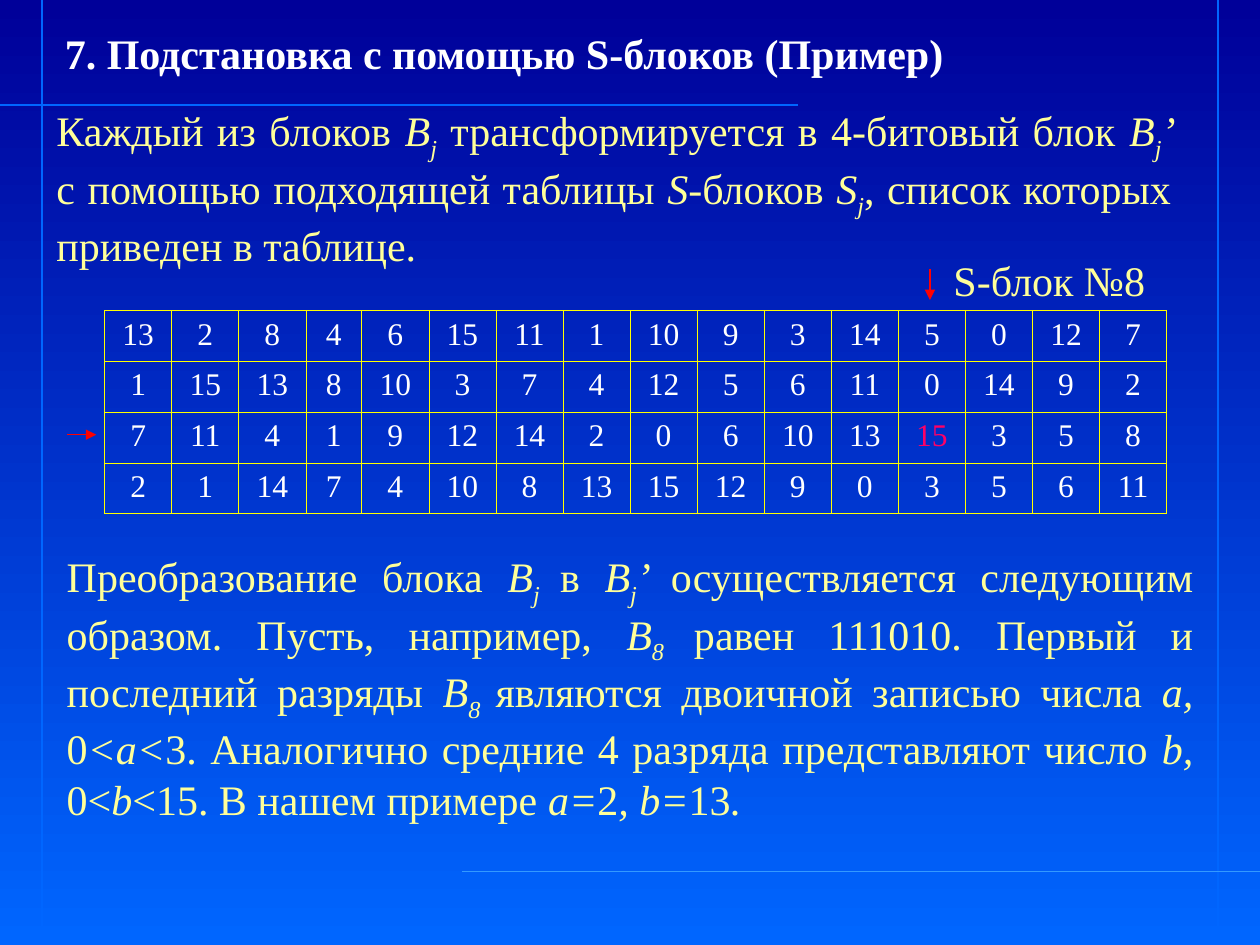
from lxml.etree import SubElement
from pptx import Presentation
from pptx.dml.color import RGBColor
from pptx.enum.shapes import MSO_CONNECTOR as Connector
from pptx.enum.text import MSO_ANCHOR as Anchor, MSO_AUTO_SIZE as AutoSize, PP_ALIGN as Align
from pptx.oxml.ns import qn
from pptx.util import Pt

NAVY = RGBColor(0x00, 0x00, 0x99)
BLUE = RGBColor(0x00, 0x66, 0xFF)
SKY = RGBColor(0x33, 0x99, 0xFF)
WHITE = RGBColor(0xFF, 0xFF, 0xFF)
CREAM = RGBColor(0xFF, 0xFF, 0x99)
YELLOW = RGBColor(0xFF, 0xFF, 0x00)
RED = RGBColor(0xFF, 0x00, 0x00)
PINK = RGBColor(0xFF, 0x00, 0x66)
FONT = "Times New Roman"

PLAIN, ITALIC, INDEX = "plain", "italic", "index"

INTRO = [
    ("Каждый из блоков ", PLAIN), ("B", ITALIC), ("j", INDEX),
    (" трансформируется в 4-битовый блок ", PLAIN), ("B", ITALIC), ("j", INDEX),
    ("’ ", ITALIC), ("с помощью подходящей таблицы ", PLAIN), ("S", ITALIC),
    ("-блоков ", PLAIN), ("S", ITALIC), ("j", INDEX),
    (", список которых приведен в таблице.", PLAIN),
]
EXPLANATION = [
    ("Преобразование блока ", PLAIN), ("B", ITALIC), ("j ", INDEX), ("в ", PLAIN),
    ("B", ITALIC), ("j", INDEX), ("’ ", ITALIC),
    ("осуществляется следующим образом. Пусть, например, ", PLAIN),
    ("В", ITALIC), ("8 ", INDEX),
    ("равен 111010. Первый и последний разряды ", PLAIN), ("В", ITALIC), ("8 ", INDEX),
    ("являются двоичной записью числа ", PLAIN), ("а, ", ITALIC), ("0", PLAIN),
    ("<a<", ITALIC), ("3. Аналогично средние 4 разряда представляют число ", PLAIN),
    ("b,", ITALIC), (" 0<", PLAIN), ("b", ITALIC), ("<15. В нашем примере ", PLAIN),
    ("а=", ITALIC), ("2", PLAIN), (", b=", ITALIC), ("13", PLAIN), (".", ITALIC),
]
S_BLOCK = [
    [13, 2, 8, 4, 6, 15, 11, 1, 10, 9, 3, 14, 5, 0, 12, 7],
    [1, 15, 13, 8, 10, 3, 7, 4, 12, 5, 6, 11, 0, 14, 9, 2],
    [7, 11, 4, 1, 9, 12, 14, 2, 0, 6, 10, 13, 15, 3, 5, 8],
    [2, 1, 14, 7, 4, 10, 8, 13, 15, 12, 9, 0, 3, 5, 6, 11],
]
SELECTED = (2, 12)
COLUMN_WIDTH, NARROW_WIDTH, NARROW_COLUMN = 38.33, 32, 3
ROW_HEIGHT = 29


def paint_background(page):
    fill = page.background.fill
    fill.gradient()
    fill.gradient_angle = 270
    for stop, position, color in zip(fill.gradient_stops, (0, 1), (NAVY, BLUE)):
        stop.position = position
        stop.color.rgb = color


def add_line(page, start, end, color, width, arrow=False):
    line = page.shapes.add_connector(Connector.STRAIGHT, *map(Pt, start + end))
    line.line.color.rgb = color
    line.line.width = Pt(width)
    if arrow:
        SubElement(line.line._get_or_add_ln(), qn("a:tailEnd"), type="triangle")
    SubElement(line._element.spPr, qn("a:effectLst"))


def format_font(font, size, color, bold=False):
    font.name = FONT
    font.size = Pt(size)
    font.color.rgb = color
    font.bold = bold


def add_text(page, place, spans, color, align=Align.LEFT, anchor=Anchor.TOP, bold=False):
    box = page.shapes.add_textbox(*map(Pt, place))
    frame = box.text_frame
    frame.word_wrap = True
    frame.auto_size = AutoSize.SHAPE_TO_FIT_TEXT
    frame.vertical_anchor = anchor
    para = frame.paragraphs[0]
    para.alignment = align
    for text, style in spans:
        span = para.add_run()
        span.text = text
        format_font(span.font, 24, color, bold)
        span.font.italic = style != PLAIN
        if style == INDEX:
            span.font._element.set("baseline", "-25000")


def outline_cell(cell):
    properties = cell._tc.get_or_add_tcPr()
    for side in ("lnL", "lnR", "lnT", "lnB"):
        edge = SubElement(properties, qn(f"a:{side}"), w=str(Pt(0.45)))
        paint = SubElement(edge, qn("a:solidFill"))
        SubElement(paint, qn("a:srgbClr"), val=str(YELLOW))


def add_s_block(page, left, top):
    rows, columns = len(S_BLOCK), len(S_BLOCK[0])
    width = COLUMN_WIDTH * (columns - 1) + NARROW_WIDTH
    place = map(Pt, (left, top, width, ROW_HEIGHT * rows))
    table = page.shapes.add_table(rows, columns, *place).table
    table.first_row = table.horz_banding = False
    for number, column in enumerate(table.columns):
        column.width = Pt(NARROW_WIDTH if number == NARROW_COLUMN else COLUMN_WIDTH)
    for r, values in enumerate(S_BLOCK):
        table.rows[r].height = Pt(ROW_HEIGHT)
        for c, value in enumerate(values):
            cell = table.cell(r, c)
            outline_cell(cell)
            cell.fill.background()
            para = cell.text_frame.paragraphs[0]
            para.text = str(value)
            para.alignment = Align.CENTER
            format_font(para.runs[0].font, 18, PINK if (r, c) == SELECTED else WHITE)


def main():
    deck = Presentation()
    deck.slide_width, deck.slide_height = Pt(720), Pt(540)
    page = deck.slides.add_slide(deck.slide_layouts[6])
    paint_background(page)
    for x in (24, 696):
        add_line(page, (x, 0), (x, 540), BLUE, 1)
    add_line(page, (0, 60), (456, 60), BLUE, 0.75)
    add_line(page, (264, 498), (720, 498), SKY, 1)

    title = [("7. Подстановка с помощью S-блоков (Пример)", PLAIN)]
    add_text(page, (30, 12, 585, 36), title, WHITE, bold=True)
    add_text(page, (25.2, 56.2, 651, 101.5), INTRO, CREAM, Align.JUSTIFY, Anchor.MIDDLE)
    add_s_block(page, 59.8, 177.5)
    add_text(page, (537.8, 142, 124.6, 36), [("S-блок №8", PLAIN)], CREAM)
    add_text(page, (31, 311, 658, 163.5), EXPLANATION, CREAM, Align.JUSTIFY, Anchor.MIDDLE)
    add_line(page, (38.2, 248.4), (55, 248.4), RED, 0.75, arrow=True)
    add_line(page, (531.4, 154), (531.4, 171.4), RED, 0.75, arrow=True)
    deck.save("out.pptx")


if __name__ == "__main__":
    main()
